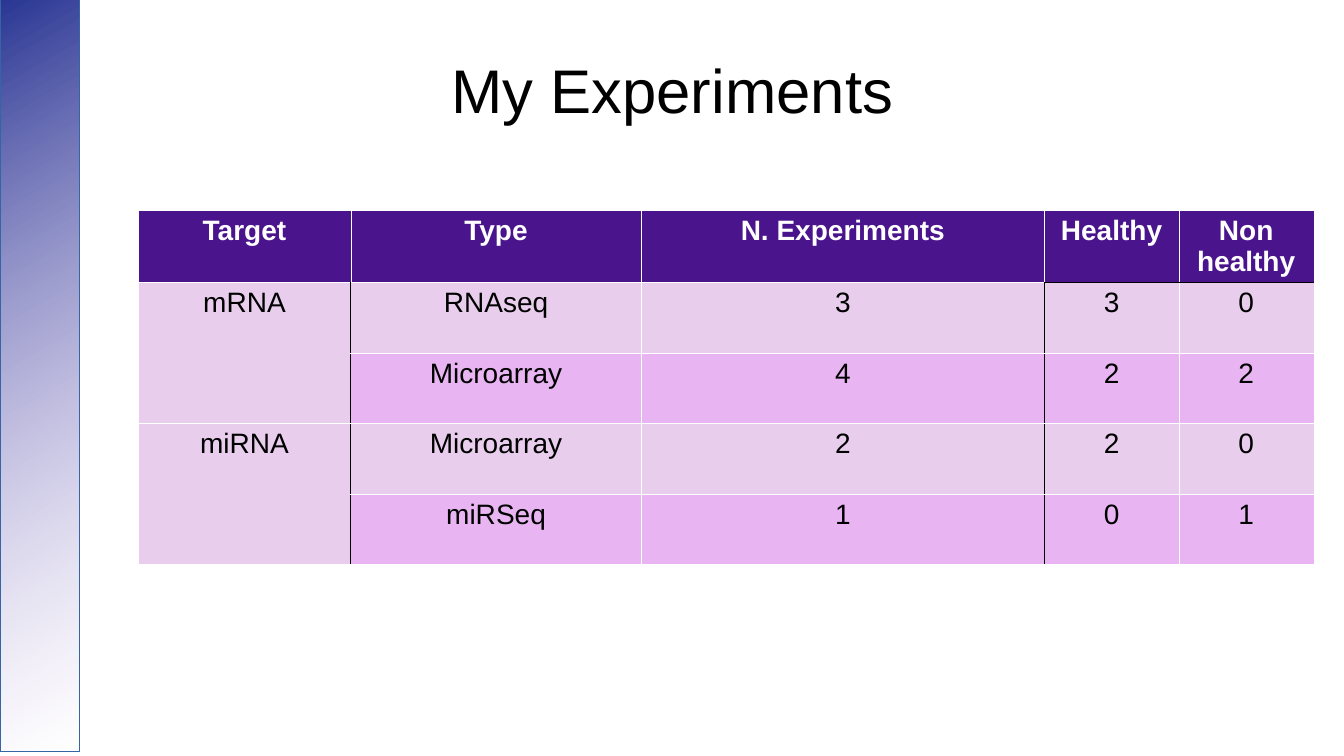
"""Build the "My Experiments" slide with its table of RNA experiments."""
import lxml.etree
import pptx
import pptx.dml.color
import pptx.enum.shapes
import pptx.enum.text
import pptx.oxml.ns
import pptx.util

PX = 9144
PURPLE, PINK, LILAC = "4A148C", "E8CDED", "E8B5F2"
WHITE, BLACK = "FFFFFF", "000000"
HAIRLINE, SOLID = 720, 12700
CENTER = pptx.enum.text.PP_ALIGN.CENTER
qn = pptx.oxml.ns.qn


def rgb(value):
    return pptx.dml.color.RGBColor.from_string(value)


def add_text(tf, text, size, color, bold=False):
    p = tf.paragraphs[0]
    p.alignment = CENTER
    r = p.add_run()
    r.text = text
    r.font.name = "Arial"
    r.font.size = pptx.util.Pt(size)
    r.font.bold = bold
    r.font.color.rgb = rgb(color)
    return p


prs = pptx.Presentation()
prs.slide_width, prs.slide_height = 1333 * PX, 750 * PX
s = prs.slides.add_slide(prs.slide_layouts[5])

title = s.shapes.title
title.left, title.top, title.width, title.height = 67 * PX, 30 * PX, 1200 * PX, 125 * PX
tf = title.text_frame
tf.margin_left = tf.margin_top = tf.margin_right = tf.margin_bottom = 0
tf.vertical_anchor = pptx.enum.text.MSO_ANCHOR.MIDDLE
p = add_text(tf, "My Experiments", 44, BLACK)
p.line_spacing = 0.9

band = s.shapes.add_shape(pptx.enum.shapes.MSO_SHAPE.RECTANGLE, 0, -4 * PX, 79 * PX, 750 * PX)
band.shadow.inherit = False
band.line.color.rgb = rgb("3465A4")
band.line.width = pptx.util.Pt(0.75)
band.fill.gradient()
band.fill.gradient_angle = 300
for stop, color in zip(band.fill.gradient_stops, ("283593", "B39DDB")):
    stop.color.rgb = rgb(color)
end_color = list(band._element.spPr.iter(qn("a:srgbClr")))[1]
lxml.etree.SubElement(end_color, qn("a:alpha"), val="0")

rows = [
    ("Target", "Type", "N. Experiments", "Healthy", "Non healthy"),
    ("mRNA", "RNAseq", "3", "3", "0"),
    ("", "Microarray", "4", "2", "2"),
    ("miRNA", "Microarray", "2", "2", "0"),
    ("", "miRSeq", "1", "0", "1"),
]
col_widths = (211, 288, 400, 133, 134)
row_heights = (72, 70, 70, 70, 70)
table = s.shapes.add_table(len(rows), len(col_widths), 137 * PX, 208 * PX,
                           sum(col_widths) * PX, sum(row_heights) * PX).table
for column, width in zip(table.columns, col_widths):
    column.width = width * PX
for row, height in zip(table.rows, row_heights):
    row.height = height * PX

for i, values in enumerate(rows):
    for j, value in enumerate(values):
        cell = table.cell(i, j)
        header = i == 0
        black_sides = {
            "L": not header and j in (1, 3),
            "R": not header and j in (0, 2),
            "T": i == 1 and j >= 3,
            "B": header and j >= 3,
        }
        tcPr = cell._tc.get_or_add_tcPr()
        for side, is_black in black_sides.items():
            ln = lxml.etree.SubElement(tcPr, qn("a:ln" + side), w=str(SOLID if is_black else HAIRLINE))
            fill = lxml.etree.SubElement(ln, qn("a:solidFill"))
            lxml.etree.SubElement(fill, qn("a:srgbClr"), val=BLACK if is_black else WHITE)
        cell.fill.solid()
        cell.fill.fore_color.rgb = rgb(PURPLE if header else PINK if j == 0 or i % 2 else LILAC)
        if value:
            add_text(cell.text_frame, value, 20, WHITE if header else BLACK, header)

for i in (1, 3):
    table.cell(i, 0).merge(table.cell(i + 1, 0))

prs.save("out.pptx")
